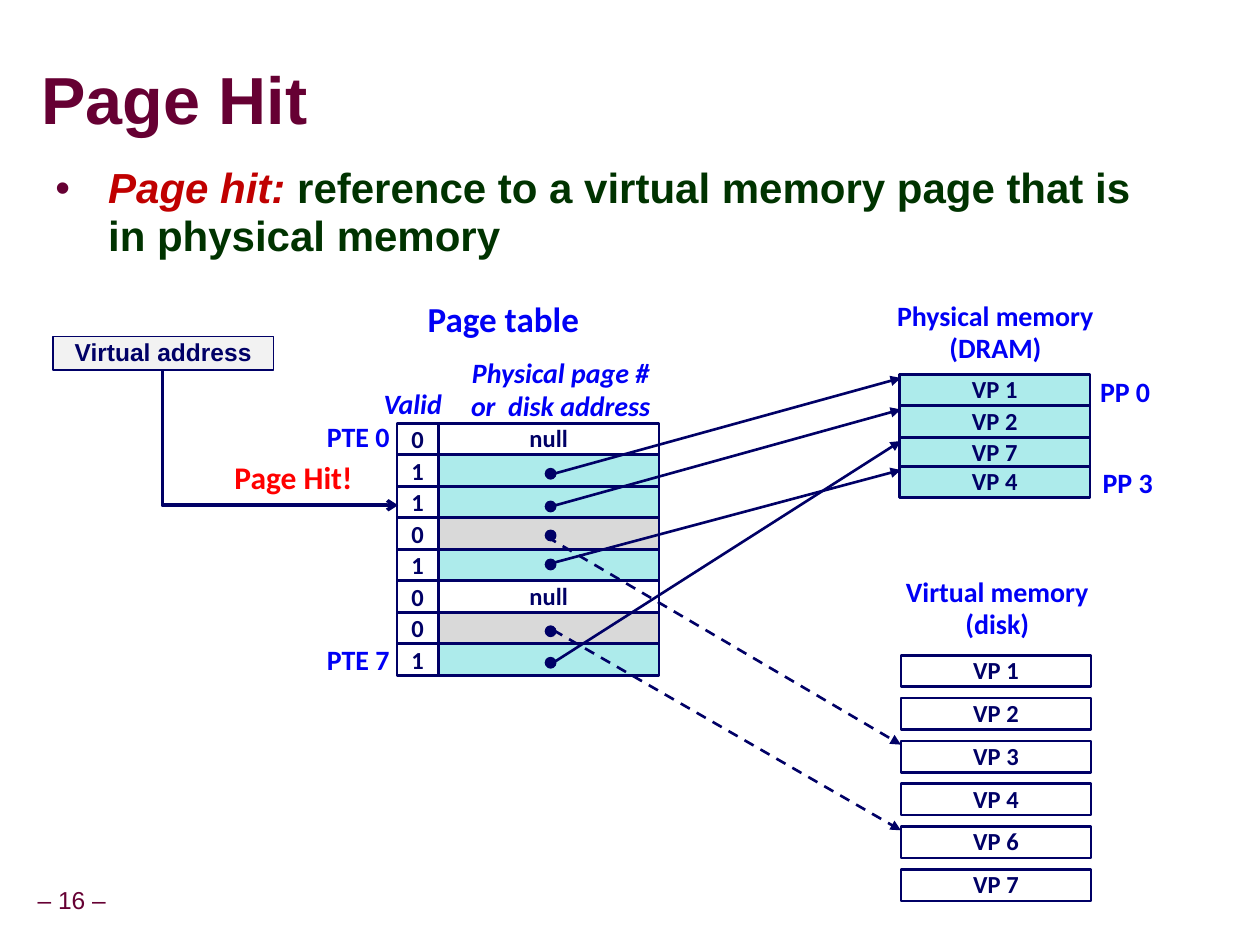
from lxml.etree import SubElement
from pptx import Presentation
from pptx.dml.color import RGBColor
from pptx.enum.dml import MSO_LINE
from pptx.enum.shapes import MSO_CONNECTOR, MSO_SHAPE
from pptx.enum.text import MSO_ANCHOR, PP_ALIGN
from pptx.oxml.ns import qn
from pptx.util import Inches, Pt

MAROON = RGBColor(0x66, 0x00, 0x33)
RED = RGBColor(0xC0, 0x00, 0x00)
BRIGHT_RED = RGBColor(0xFF, 0x00, 0x00)
GREEN = RGBColor(0x00, 0x33, 0x00)
NAVY = RGBColor(0x00, 0x00, 0x66)
BLUE = RGBColor(0x00, 0x00, 0xF5)
AQUA = RGBColor(0xAD, 0xEB, 0xEB)
GREY = RGBColor(0xD9, 0xD9, 0xD9)
PALE = RGBColor(0xF2, 0xF2, 0xF2)
WHITE = RGBColor(0xFF, 0xFF, 0xFF)

ROW_HEIGHT = 0.25
TABLE_TOP = 3.36
MEMORY_WIDTH = 1.51
PAGE_TABLE = [(0, "null", WHITE), (1, "", AQUA), (1, "", AQUA), (0, "", GREY),
              (1, "", AQUA), (0, "null", WHITE), (0, "", GREY), (1, "", AQUA)]
PHYSICAL_TOPS = {"VP 1": 2.97, "VP 2": 3.22, "VP 7": 3.47, "VP 4": 3.7}
DISK_TOPS = {page: 5.2 + 0.34 * slot for slot, page in
             enumerate(["VP 1", "VP 2", "VP 3", "VP 4", "VP 6", "VP 7"])}
POINTERS = [(3.72, 4.36, 3.77, "VP 1", PHYSICAL_TOPS),
            (3.98, 4.41, 4.01, "VP 2", PHYSICAL_TOPS),
            (4.21, 4.34, 4.26, "VP 3", DISK_TOPS),
            (4.44, 4.38, 4.47, "VP 4", PHYSICAL_TOPS),
            (4.97, 4.39, 5.0, "VP 6", DISK_TOPS),
            (5.22, 4.39, 5.26, "VP 7", PHYSICAL_TOPS)]


def write(frame, text, size=14, color=NAVY, font="Calibri", bold=True, italic=False,
          align=PP_ALIGN.CENTER, anchor=MSO_ANCHOR.TOP, spacing=0.98, wrap=False,
          inset=(0.1, 0.05), append=False):
    frame.word_wrap = wrap
    frame.vertical_anchor = anchor
    frame.margin_left = frame.margin_right = Inches(inset[0])
    frame.margin_top = frame.margin_bottom = Inches(inset[1])
    for index, line in enumerate(text.split("\n")):
        paragraph = frame.add_paragraph() if index else frame.paragraphs[0]
        paragraph.alignment = align
        paragraph.line_spacing = spacing
        run = paragraph.add_run()
        run.text = line
        run.font.size = Pt(size)
        run.font.name = font
        run.font.bold = bold
        run.font.italic = italic
        run.font.color.rgb = color


class Diagram:
    def __init__(self, slide, line_color=NAVY):
        self.slide = slide
        self.line_color = line_color

    def label(self, text, left, top, width, height, **style):
        label = self.slide.shapes.add_textbox(
            Inches(left), Inches(top), Inches(width), Inches(height))
        write(label.text_frame, text, **style)
        return label.text_frame

    def shape(self, left, top, width, height, fill=None, text="", line=1.5,
              kind=MSO_SHAPE.RECTANGLE, **style):
        shape = self.slide.shapes.add_shape(
            kind, Inches(left), Inches(top), Inches(width), Inches(height))
        shape.shadow.inherit = False
        if fill is None:
            shape.fill.background()
        else:
            shape.fill.solid()
            shape.fill.fore_color.rgb = fill
        shape.line.color.rgb = self.line_color
        shape.line.width = Pt(line)
        if text:
            write(shape.text_frame, text, anchor=MSO_ANCHOR.MIDDLE, **style)

    def dot(self, left, top):
        self.shape(left, top, 0.08, 0.08, self.line_color, line=1, kind=MSO_SHAPE.OVAL)

    def arrow(self, start, end, width=1.5, dashed=False, head="triangle",
              kind=MSO_CONNECTOR.STRAIGHT):
        arrow = self.slide.shapes.add_connector(
            kind, *(Inches(value) for value in (*start, *end)))
        arrow.line.color.rgb = self.line_color
        arrow.line.width = Pt(width)
        if dashed:
            arrow.line.dash_style = MSO_LINE.DASH
        properties = arrow.element.spPr
        SubElement(properties.find(qn("a:ln")), qn("a:tailEnd"), type=head)
        SubElement(properties, qn("a:effectLst"))
        return properties

    def corner_arrow(self, start, end, width):
        across, down = end[0] - start[0], end[1] - start[1]
        middle_x, middle_y = (start[0] + end[0]) / 2, (start[1] + end[1]) / 2
        properties = self.arrow((middle_x + down / 2, middle_y - across / 2),
                                (middle_x - down / 2, middle_y + across / 2),
                                width, head="arrow", kind=MSO_CONNECTOR.ELBOW)
        properties.find(qn("a:xfrm")).set("rot", "16200000")
        properties.find(qn("a:prstGeom")).set("prst", "bentConnector2")


def add_heading(diagram):
    diagram.label("– 16 –", 0.24, 7, 0.66, 0.31, font="Arial", color=MAROON,
                  bold=False, spacing=0.9, anchor=MSO_ANCHOR.MIDDLE, inset=(0.05, 0.05))
    title = diagram.label("Page Hit", 0.33, 0.39, 9.06, 0.86, size=38, color=MAROON,
                          font="Arial", align=PP_ALIGN.LEFT, spacing=0.87, wrap=True,
                          anchor=MSO_ANCHOR.MIDDLE, inset=(0, 0))
    run_properties = title.paragraphs[0].runs[0].font.fill._xPr
    effects = SubElement(run_properties, qn("a:effectLst"))
    run_properties.find(qn("a:solidFill")).addnext(effects)
    shadow = SubElement(effects, qn("a:outerShdw"), blurRad="38100", dist="38100",
                        dir="2700000", algn="tl")
    SubElement(shadow, qn("a:srgbClr"), val="C0C0C0")

    definition = diagram.label("", 0.34, 1.26, 9.09, 0.66)
    paragraph = definition.paragraphs[0]
    paragraph.runs[0]._r.getparent().remove(paragraph.runs[0]._r)
    body = dict(size=24, font="Arial", align=PP_ALIGN.LEFT, spacing=0.95, wrap=True)
    write(definition, "Page hit: ", color=RED, italic=True, **body)
    write(definition, "reference to a virtual memory page that is in physical memory",
          color=GREEN, **body)
    bullet = paragraph._p.get_or_add_pPr()
    bullet.set("marL", str(Inches(0.42)))
    bullet.set("indent", str(Inches(-0.42)))
    color = SubElement(bullet, qn("a:buClr"))
    SubElement(color, qn("a:srgbClr"), val=str(MAROON))
    SubElement(bullet, qn("a:buFont"), typeface="Arial")
    SubElement(bullet, qn("a:buChar"), char="•")


def add_page_table(diagram):
    for row, (valid, address, fill) in enumerate(PAGE_TABLE):
        top = TABLE_TOP + row * ROW_HEIGHT
        diagram.shape(3.48, top, 1.75, ROW_HEIGHT, fill, address)
        diagram.shape(3.15, top, 0.33, ROW_HEIGHT)
        diagram.label(str(valid), 3.16, top - 0.03, 0.31, 0.33)
    heading = dict(color=BLUE, wrap=True)
    diagram.label("Page table", 2.83, 2.33, 2.33, 0.43, size=20, **heading)
    diagram.label("Valid", 2.9, 3.03, 0.75, 0.37, size=16, italic=True, **heading)
    diagram.label("Physical page # or  disk address", 3.56, 2.78, 1.78, 0.63, size=16,
                  italic=True, anchor=MSO_ANCHOR.MIDDLE, **heading)
    for text, top in (("PTE 0", 3.29), ("PTE 7", 5.06)):
        diagram.label(text, 2.49, top, 0.7, 0.37, size=16, color=BLUE,
                      align=PP_ALIGN.RIGHT, anchor=MSO_ANCHOR.MIDDLE)


def add_memories(diagram):
    for text, left, top, width in (("Physical memory\n(DRAM)", 7.01, 2.33, 1.78),
                                   ("Virtual memory\n(disk)", 7.07, 4.52, 1.69)):
        diagram.label(text, left, top, width, 0.63, size=16, color=BLUE)
    for tops, left, fill in ((PHYSICAL_TOPS, 7.14, AQUA), (DISK_TOPS, 7.15, WHITE)):
        for page, top in tops.items():
            diagram.shape(left, top, MEMORY_WIDTH, ROW_HEIGHT, fill, page)
    for text, left, top in (("PP 0", 8.63, 2.93), ("PP 3", 8.65, 3.65)):
        diagram.label(text, left, top, 0.6, 0.37, size=16, color=BLUE,
                      anchor=MSO_ANCHOR.MIDDLE)


def add_references(diagram):
    for dot_top, start_x, start_y, page, memory in POINTERS:
        diagram.dot(4.33, dot_top)
        diagram.arrow((start_x, start_y), (7.15, memory[page] + 0.03),
                      dashed=memory is DISK_TOPS)
    diagram.shape(0.42, 2.67, 1.75, 0.27, PALE, "Virtual address", line=1,
                  font="Arial", spacing=0.9, wrap=True)
    diagram.corner_arrow((1.29, 2.93), (3.16, 4.01), 2)
    diagram.label("Page Hit!", 1.75, 3.62, 1.16, 0.38, size=18, color=BRIGHT_RED,
                  spacing=0.9)


def main():
    presentation = Presentation()
    presentation.slide_width = Inches(10)
    presentation.slide_height = Inches(7.5)
    diagram = Diagram(presentation.slides.add_slide(presentation.slide_layouts[6]))
    add_heading(diagram)
    add_page_table(diagram)
    add_memories(diagram)
    add_references(diagram)
    presentation.save("out.pptx")


if __name__ == "__main__":
    main()
